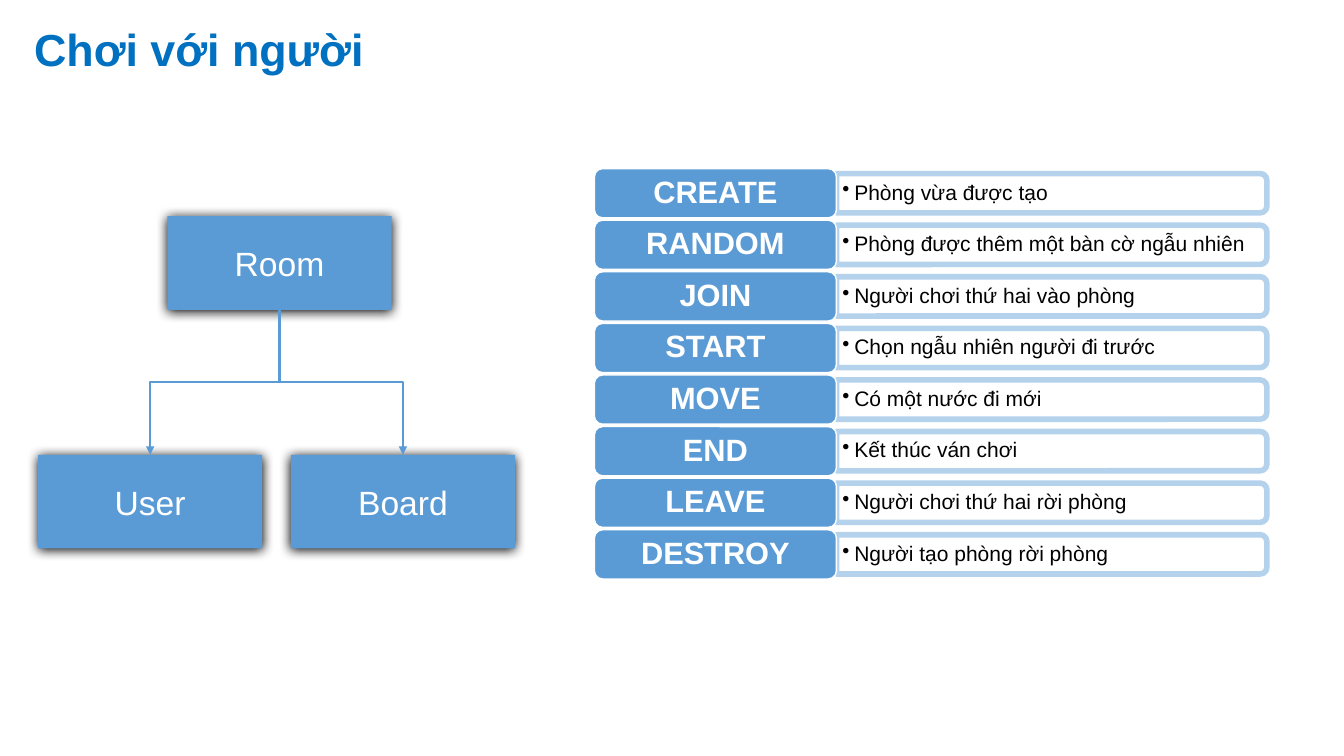
from pptx import Presentation
from pptx.dml.color import RGBColor as Rgb
from pptx.enum.shapes import MSO_CONNECTOR as Link, MSO_SHAPE as Form
from pptx.enum.text import MSO_ANCHOR as Anchor, MSO_AUTO_SIZE as Auto, PP_ALIGN as Align
from pptx.oxml import parse_xml
from pptx.oxml.ns import nsdecls
from pptx.util import Cm, Pt


def color(code):
    return Rgb.from_string(code)


def node(text):
    tag, rest = text.split(" ", 1)
    return parse_xml(f"<a:{tag} {nsdecls('a')} {rest}")


class Deck:
    blue, pale, white = "5B9BD5", "B5D2EC", "FFFFFF"
    face = "Arial"

    def __init__(self, wide, high):
        self.show = Presentation()
        self.show.slide_width, self.show.slide_height = Cm(wide), Cm(high)
        self.slide = self.show.slides.add_slide(self.show.slide_layouts[6])

    def label(self, shape, text, size, ink, bold=False, bullet=False, space=None, **frame):
        body = shape.text_frame
        for name, value in frame.items():
            setattr(body, name, value)
        para = body.paragraphs[0]
        para.text = text
        if bullet:
            props = para._p.get_or_add_pPr()
            props.set("marL", str(Cm(0.3)))
            props.set("indent", str(-Cm(0.3)))
            props.append(node('buChar char="•"/>'))
        para.line_spacing = space
        para.alignment = Align.LEFT if shape.shape_type == 17 else Align.CENTER
        look = {"name": self.face, "size": Pt(size), "bold": bold}
        for name, value in look.items():
            setattr(para.font, name, value)
        para.font.color.rgb = color(ink)

    def text(self, left, top, wide, high, text, size, ink, **style):
        box = self.slide.shapes.add_textbox(Cm(left), Cm(top), Cm(wide), Cm(high))
        self.label(box, text, size, ink, **style)

    def shape(self, form, left, top, wide, high, fill=None, line=None, width=1):
        item = self.slide.shapes.add_shape(form, Cm(left), Cm(top), Cm(wide), Cm(high))
        item.shadow.inherit = False
        if fill:
            item.fill.solid()
            item.fill.fore_color.rgb = color(fill)
        else:
            item.fill.background()
        if line:
            item.line.color.rgb = color(line)
            item.line.width = Pt(width)
        else:
            item.line.fill.background()
        return item

    def block(self, left, top, text):
        item = self.shape(Form.RECTANGLE, left, top, 5.65, 2.36, self.blue)
        item._element.spPr.find("{*}effectLst").append(node(
            f'outerShdw blurRad="{Pt(8.5)}" dist="{Pt(1)}" dir="5400000" rotWithShape="0">'
            '<a:srgbClr val="000000"/></a:outerShdw>'))
        self.label(item, text, 24, self.white, vertical_anchor=Anchor.MIDDLE)
        return item

    def link(self, head, tail):
        line = self.slide.shapes.add_connector(Link.ELBOW, 0, 0, 0, 0)
        line.begin_connect(head, 2)
        line.end_connect(tail, 0)
        # Turn the elbow so that it leaves downwards
        right = line.end_x > line.begin_x
        mid_x, mid_y = (line.begin_x + line.end_x) // 2, (line.begin_y + line.end_y) // 2
        wide, high = abs(line.end_y - line.begin_y), abs(line.end_x - line.begin_x)
        spot = {"left": mid_x - wide // 2, "top": mid_y - high // 2,
                "width": wide, "height": high}
        for name, value in spot.items():
            setattr(line, name, value)
        props = line._element.spPr
        props.xfrm.set("rot", "16200000" if right else "5400000")
        props.xfrm.set("flipH", "1" if right else "0")
        line.line.color.rgb = color(self.blue)
        line.line.width = Pt(1.5)
        props.find("{*}ln").append(node('tailEnd type="triangle"/>'))
        props.append(node("effectLst />"))

    def row(self, top, name, note):
        mid = top + 0.62
        # The outline is a tall shape turned a quarter
        edge = self.shape(Form.ROUND_2_SAME_RECTANGLE, 26.01, mid - 5.42, 0.99, 10.84,
                          line=self.pale, width=4)
        edge.rotation = 90
        pads = {"margin_left": Cm(0.15), "margin_right": Cm(0.15),
                "margin_top": Cm(0.08), "margin_bottom": Cm(0.08)}
        self.text(21.08, mid - 0.45, 10.8, 0.9, note, 15, "000000", bullet=True, space=0.9,
                  word_wrap=True, vertical_anchor=Anchor.MIDDLE, **pads)
        tag = self.shape(Form.ROUNDED_RECTANGLE, 14.98, top, 6.1, 1.24, self.blue, self.white)
        self.label(tag, name, 22, self.white, bold=True, space=0.9,
                   vertical_anchor=Anchor.MIDDLE, **pads)


def main():
    deck = Deck(33.87, 19.05)

    # Title
    deck.text(0.61, 0.43, 8.89, 1.63, "Chơi với người", 32, "0070C0", bold=True,
              word_wrap=False, auto_size=Auto.SHAPE_TO_FIT_TEXT)

    # Events of a room
    events = [
        ("CREATE", "Phòng vừa được tạo"),
        ("RANDOM", "Phòng được thêm một bàn cờ ngẫu nhiên"),
        ("JOIN", "Người chơi thứ hai vào phòng"),
        ("START", "Chọn ngẫu nhiên người đi trước"),
        ("MOVE", "Có một nước đi mới"),
        ("END", "Kết thúc ván chơi"),
        ("LEAVE", "Người chơi thứ hai rời phòng"),
        ("DESTROY", "Người tạo phòng rời phòng"),
    ]
    for index, (name, note) in enumerate(events):
        deck.row(4.25 + 1.3 * index, name, note)

    # Tree of a room and its parts
    room = deck.block(4.22, 5.45, "Room")
    parts = [deck.block(left, 11.46, name) for left, name in ((0.96, "User"), (7.33, "Board"))]
    for part in parts:
        deck.link(room, part)

    deck.show.save("out.pptx")


if __name__ == "__main__":
    main()
